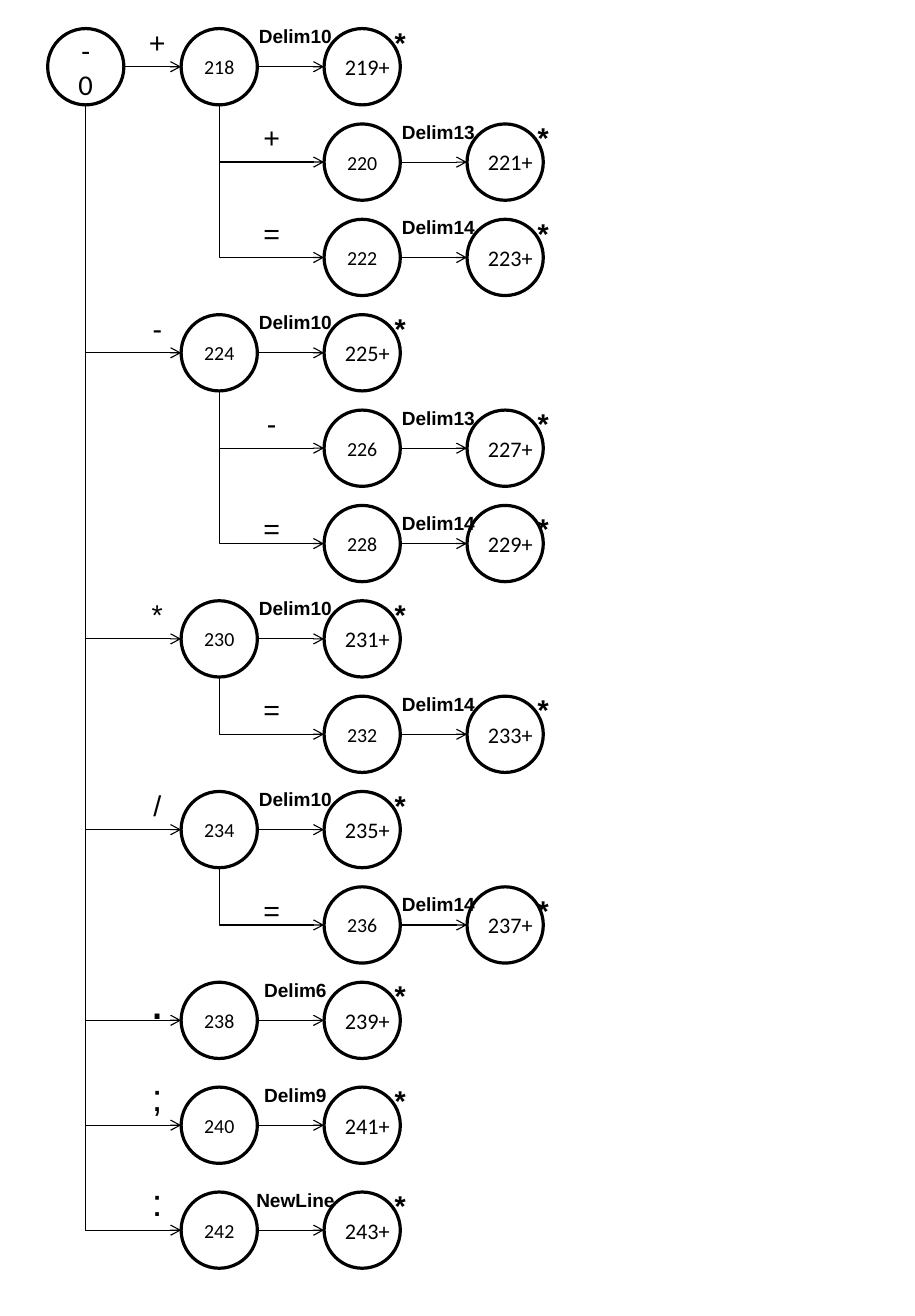
from dataclasses import dataclass

from lxml.etree import SubElement
from pptx import Presentation
from pptx.dml.color import RGBColor
from pptx.enum.shapes import MSO_CONNECTOR as Line, MSO_SHAPE as Preset
from pptx.enum.text import MSO_ANCHOR as Anchor, MSO_AUTO_SIZE as AutoSize, PP_ALIGN as Align
from pptx.oxml.ns import qn
from pptx.util import Cm, Pt

# Content: (level, symbol, state, delimiter, symbol size, labels lowered)
ROOT = "-\n0"
TRANSITIONS = [
    (1, "+", 218, "Delim10", 18, False),
    (2, "+", 220, "Delim13", 18, False),
    (2, "=", 222, "Delim14", 18, False),
    (1, "-", 224, "Delim10", 18, False),
    (2, "-", 226, "Delim13", 18, False),
    (2, "=", 228, "Delim14", 18, True),
    (1, "*", 230, "Delim10", 18, False),
    (2, "=", 232, "Delim14", 18, False),
    (1, "/", 234, "Delim10", 18, False),
    (2, "=", 236, "Delim14", 18, True),
    (1, ".", 238, "Delim6", 32, False),
    (1, ";", 240, "Delim9", 24, False),
    (1, ":", 242, "NewLine", 24, False),
]


@dataclass
class Theme:
    ink: RGBColor = RGBColor(0, 0, 0)
    paper: RGBColor = RGBColor(255, 255, 255)
    state_font: str = "Calibri"
    label_font: str = "Arial"
    root_size: float = 18
    state_size: float = 12.5
    accept_size: float = 14
    label_size: float = 12
    star_size: float = 18
    ring: float = 2
    wire: float = 0.75


theme = Theme()

# Grid, counted in twelfths of an inch
COLUMNS = [5, 19, 34, 49]
SYMBOL_LEFT = {1: 12, 2: 24}
FIRST_TOP, PITCH, LAST_PITCH = 3, 10, 11
CIRCLE, RADIUS = 8, 4


def grid(count):
    return Cm(2.54 * count / 12)


deck = Presentation()
deck.slide_width, deck.slide_height = Cm(20.32), Cm(29.21)
page = deck.slides.add_slide(deck.slide_layouts[6])


def write(frame, text, font=theme.label_font, size=18, bold=False, align=Align.CENTER):
    for index, line in enumerate(text.split("\n")):
        para = frame.paragraphs[0] if index == 0 else frame.add_paragraph()
        para.alignment = align
        span = para.add_run()
        span.text = line
        span.font.name, span.font.size, span.font.bold = font, Pt(size), bold
        span.font.color.rgb = theme.ink


def add_label(text, left, top, width, **style):
    height = Pt(style["size"] * 1.2 + 7.2)
    box = page.shapes.add_textbox(grid(left), grid(top), grid(width), height)
    box.text_frame.word_wrap = True
    box.text_frame.auto_size = AutoSize.SHAPE_TO_FIT_TEXT
    write(box.text_frame, text, **style)


def add_circle(left, top, text="", size=theme.state_size):
    circle = page.shapes.add_shape(Preset.OVAL, grid(left), grid(top), grid(CIRCLE), grid(CIRCLE))
    circle.shadow.inherit = False
    circle.fill.solid()
    circle.fill.fore_color.rgb = theme.paper
    circle.line.color.rgb, circle.line.width = theme.ink, Pt(theme.ring)
    if text:
        frame = circle.text_frame
        frame.vertical_anchor = Anchor.MIDDLE
        frame.word_wrap = False
        write(frame, text, font=theme.state_font, size=size)


def add_arrow(kind, *ends):
    arrow = page.shapes.add_connector(kind, *[grid(end) for end in ends])
    arrow.line.color.rgb, arrow.line.width = theme.ink, Pt(theme.wire)
    properties = arrow._element.spPr
    SubElement(properties.find(qn("a:ln")), qn("a:tailEnd"), type="arrow")
    SubElement(properties, qn("a:effectLst"))
    return properties


def add_branch(x, y, end_x, end_y):
    """Run down, then right: a mirrored one-bend connector turned by 270 degrees."""
    middle_x, middle_y = (x + end_x) / 2, (y + end_y) / 2
    half_run, half_drop = (end_x - x) / 2, (end_y - y) / 2
    properties = add_arrow(Line.ELBOW, middle_x + half_drop, middle_y - half_run,
                           middle_x - half_drop, middle_y + half_run)
    properties.find(qn("a:xfrm")).set("rot", "16200000")
    properties.find(qn("a:prstGeom")).set("prst", "bentConnector2")


# Start state
add_circle(COLUMNS[0], FIRST_TOP, ROOT, theme.root_size)
parent_tops = {0: FIRST_TOP}
top = FIRST_TOP

for row, (level, symbol, state, delimiter, symbol_size, lowered) in enumerate(TRANSITIONS):
    if row:
        top += LAST_PITCH if row > 10 else PITCH
    parent_tops[level] = top
    parent, left, accept = COLUMNS[level - 1:level + 2]
    middle = top + RADIUS

    # States
    add_circle(left, top, str(state))
    add_circle(accept, top)

    # Arrows
    parent_top = parent_tops[level - 1]
    if parent_top == top:
        add_arrow(Line.STRAIGHT, parent + CIRCLE, middle, left, middle)
    else:
        add_branch(parent + RADIUS, parent_top + CIRCLE, left, middle)
    add_arrow(Line.STRAIGHT, left + CIRCLE, middle, accept, middle)

    # Labels
    label_top = top if lowered else top - 1
    symbol_top = label_top if symbol_size == theme.star_size else top - 2
    add_label(symbol, SYMBOL_LEFT[level], symbol_top, 9, size=symbol_size)
    add_label(delimiter, left + 6, label_top, 12, size=theme.label_size, bold=True)
    add_label("*", accept + 5, label_top, 6, size=theme.star_size, bold=True)
    add_label(f"{state + 1}+", accept + 1, top + 2, 8, font=theme.state_font,
              size=theme.accept_size, align=Align.LEFT)

deck.save("out.pptx")
